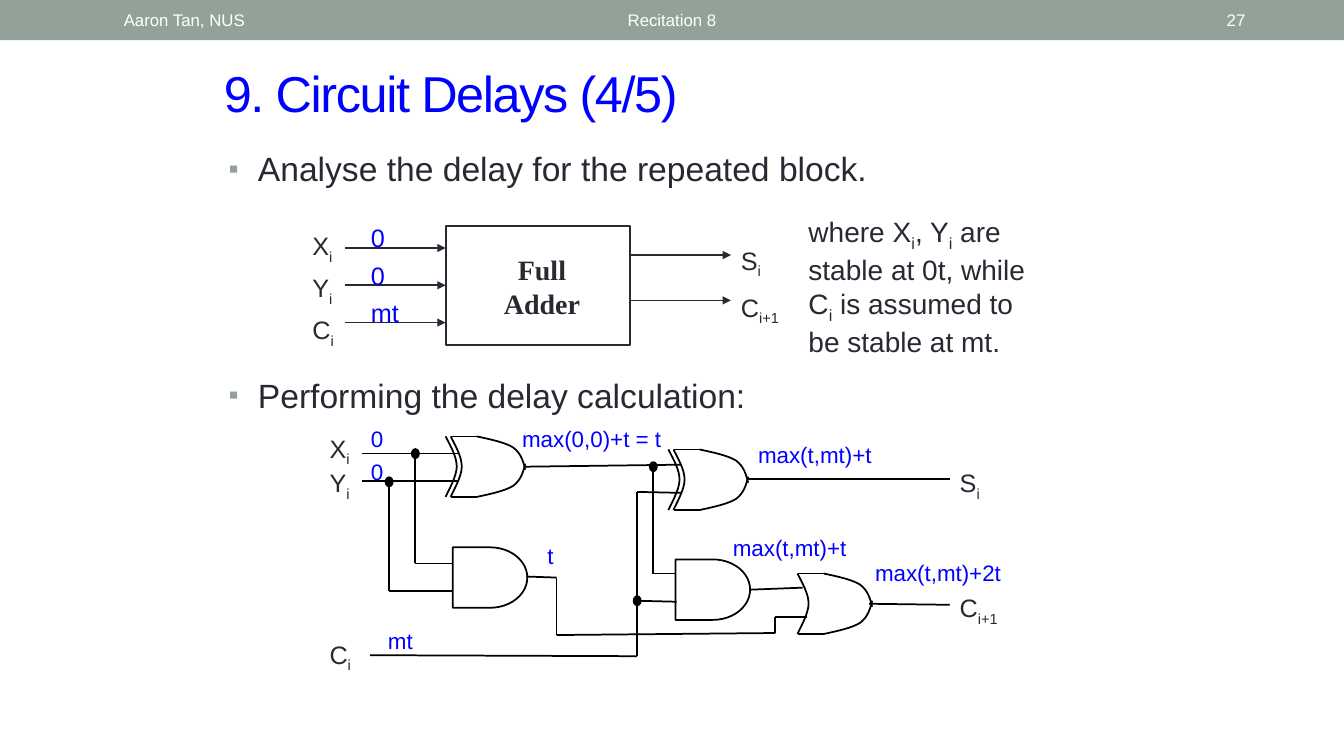
from lxml import etree
from pptx import Presentation
from pptx.dml.color import RGBColor
from pptx.enum.shapes import MSO_CONNECTOR, MSO_SHAPE
from pptx.enum.text import MSO_ANCHOR, MSO_AUTO_SIZE, PP_ALIGN
from pptx.oxml.ns import qn
from pptx.util import Inches, Pt

STRAIGHT = MSO_CONNECTOR.STRAIGHT
LEFT, CENTER, RIGHT = PP_ALIGN.LEFT, PP_ALIGN.CENTER, PP_ALIGN.RIGHT
TOP, MIDDLE = MSO_ANCHOR.TOP, MSO_ANCHOR.MIDDLE
NO_AUTOFIT = MSO_AUTO_SIZE.NONE
LEFT_SIDE = 1
COLORS = {"band": "93A299", "title": "0000FF", "delay": "0000FF",
          "text": "292934", "wire": "000000", "header": "FFFFFF"}

# In all texts, ~...~ marks a subscript.
TITLE = "9. Circuit Delays (4/5)"
HEADERS = [("Recitation 8", 3.02, 7.29, CENTER),
           ("Aaron Tan, NUS", 1.13, 3.17, LEFT),
           ("27", 11.5, 0.95, RIGHT)]
BULLETS = [("Analyse the delay for the repeated block.", 1.42),
           ("Performing the delay calculation:", 3.67)]
NOTE = "where X~i~, Y~i~ are stable at 0t, while C~i~ is assumed to be stable at mt."

# Block diagram
BLOCK = (4.42, 2.24, 1.83, 1.18)
BLOCK_NAME = ["Full", "Adder"]
INPUTS = ["X~i~", "Y~i~", "C~i~"]
OUTPUTS = ["S~i~", "C~i+1~"]
INPUT_DELAYS = [("0", 0.33), ("0", 0.33), ("mt", 0.5)]
INPUT_Y, INPUT_PITCH = 2.46, 0.37
OUTPUT_YS = [2.53, 2.98]
ARROW_LENGTH = 1

# Gate circuit
GATE_WIDTH, GATE_HEIGHT = 0.74, 0.6
AND_GATES = [(4.49, 5.43), (6.7, 5.55)]
XOR_GATES = [(4.47, 4.33), (6.68, 4.46)]
OR_GATES = [(7.91, 5.69)]
XOR_GAP = 0.05
NOSE_START = 0.26
BACK_CURVE = [(0, 0), (0.05, 0.1), (0.11, 0.2), (0.11, 0.3),
              (0.11, 0.4), (0.02, 0.55), (0, 0.6)]
NOSE_CURVE = [(NOSE_START, 0), (0.4, 0.03), (0.54, 0.06), (0.62, 0.11),
              (0.7, 0.17), (0.72, 0.25), (0.74, 0.33)]
WIRES = [
    [(3.59, 4.5), (4.55, 4.5)],
    [(3.59, 4.77), (4.55, 4.77)],
    [(4.12, 4.5), (4.12, 5.59), (4.49, 5.59)],
    [(3.86, 4.77), (3.86, 5.86), (4.49, 5.86)],
    [(5.21, 4.63), (6.76, 4.61)],
    [(6.48, 4.6), (6.48, 5.69), (6.69, 5.69)],
    [(3.67, 6.5), (6.32, 6.51), (6.32, 4.88), (6.76, 4.89)],
    [(6.32, 5.96), (6.71, 5.97)],
    [(5.22, 5.72), (5.52, 5.73), (5.52, 6.3), (7.69, 6.28), (7.69, 6.12), (8, 6.12)],
    [(7.44, 5.85), (7.96, 5.83)],
    [(7.42, 4.75), (9.42, 4.75)],
    [(8.62, 5.99), (9.42, 6)],
]
JUNCTIONS = [(3.86, 4.78), (4.12, 4.5), (6.32, 5.96), (6.48, 4.63)]
JUNCTION_SIZE = (0.07, 0.09)
SIGNALS = [(["X~i~", "Y~i~"], (3.17, 4.25, 0.42, 0.6)),
           (["C~i~"], (3.17, 6.29, 0.53, 0.38)),
           (["S~i~"], (9.42, 4.59, 0.58, 0.38)),
           (["C~i+1~"], (9.42, 5.83, 0.83, 0.38))]
DELAYS = [("0", 3.58, 4.17, 0.33), ("0", 3.58, 4.5, 0.33), ("mt", 3.75, 6.17, 0.5),
          ("max(0,0)+t = t", 5.08, 4.17, 1.65), ("t", 5.33, 5.33, 0.26),
          ("max(t,mt)+t", 7.42, 4.33, 1.58), ("max(t,mt)+t", 7.17, 5.25, 1.58),
          ("max(t,mt)+2t", 8.58, 5.5, 1.75)]


def color(name):
    return RGBColor.from_string(COLORS[name])


def inches(values):
    return [Inches(value) for value in values]


def style_outline(shape, line_color, width, fill_color=None):
    shape.shadow.inherit = False
    if fill_color:
        shape.fill.solid()
        shape.fill.fore_color.rgb = color(fill_color)
    else:
        shape.fill.background()
    shape.line.color.rgb = color(line_color)
    shape.line.width = Pt(width)


def add_bullet(paragraph):
    properties = paragraph._p.get_or_add_pPr()
    properties.set("marL", str(Inches(0.29)))
    properties.set("indent", str(-Inches(0.29)))
    bullet_color = etree.SubElement(properties, qn("a:buClr"))
    etree.SubElement(bullet_color, qn("a:srgbClr"), val=COLORS["band"])
    etree.SubElement(properties, qn("a:buSzPct"), val="85000")
    etree.SubElement(properties, qn("a:buFont"), typeface="Arial")
    etree.SubElement(properties, qn("a:buChar"), char="▪")


def add_text(slide, lines, box, size, color_name="text", align=LEFT, anchor=TOP,
             gap=0, font="Arial", bold=False, bullet=False):
    frame = slide.shapes.add_textbox(*inches(box)).text_frame
    frame.word_wrap = True
    frame.vertical_anchor = anchor
    for index, line in enumerate(lines):
        paragraph = frame.add_paragraph() if index else frame.paragraphs[0]
        paragraph.alignment = align
        if index and gap:
            paragraph.space_before = Pt(gap)
        if bullet:
            add_bullet(paragraph)
        paragraph.font.name = font
        paragraph.font.size = Pt(size)
        paragraph.font.bold = bold
        paragraph.font.color.rgb = color(color_name)
        for part, text in enumerate(line.split("~")):
            if text:
                run = paragraph.add_run()
                run.text = text
                if part % 2:
                    run._r.get_or_add_rPr().set("baseline", "-25000")


def add_line(slide, start, end, color_name="wire", arrow=False):
    line = slide.shapes.add_connector(STRAIGHT, *inches(start + end))
    line.line.color.rgb = color(color_name)
    line.line.width = Pt(1.25)
    if arrow:
        etree.SubElement(line.line._get_or_add_ln(), qn("a:tailEnd"), type="triangle")
    etree.SubElement(line._element.spPr, qn("a:effectLst"))
    return line


def add_curve(slide, controls, left, top):
    """Draw a chain of cubic Bezier arcs, offset by left and top."""
    points = [inches((left + x, top + y)) for x, y in controls]
    builder = slide.shapes.build_freeform(*points[0])
    builder.add_line_segments(points[1:], close=False)
    curve = builder.convert_to_shape()
    segments = list(curve._element.iter(qn("a:lnTo")))
    for first in range(0, len(segments), 3):
        arc = etree.SubElement(segments[first].getparent(), qn("a:cubicBezTo"))
        for segment in segments[first:first + 3]:
            arc.append(segment[0])
            segment.getparent().remove(segment)
    style_outline(curve, "wire", 1.25)


def add_or_gate(slide, left, top, exclusive=False):
    add_curve(slide, BACK_CURVE, left, top)
    if exclusive:
        add_curve(slide, BACK_CURVE, left - XOR_GAP, top)
    for y in (top, top + GATE_HEIGHT):
        add_line(slide, (left, y), (left + NOSE_START, y))
    add_curve(slide, NOSE_CURVE, left, top)
    add_curve(slide, [(x, GATE_HEIGHT - y) for x, y in NOSE_CURVE], left, top)


def add_heading(slide):
    band = slide.shapes.add_shape(MSO_SHAPE.RECTANGLE, *inches((0, 0, 13.33, 0.4)))
    style_outline(band, "band", 0, "band")
    band.line.fill.background()
    for text, left, width, align in HEADERS:
        add_text(slide, [text], (left, 0.02, width, 0.36), 12, "header", align, MIDDLE)
    title = slide.shapes.title
    title.left, title.top, title.width, title.height = inches((2.12, 0.57, 9.21, 0.7))
    frame = title.text_frame
    frame.text = TITLE
    frame.auto_size = NO_AUTOFIT
    frame.vertical_anchor = MIDDLE
    paragraph = frame.paragraphs[0]
    paragraph.alignment = LEFT
    paragraph.font.name = "Arial"
    paragraph.font.size = Pt(36)
    paragraph.font.color.rgb = color("title")
    paragraph.runs[0]._r.get_or_add_rPr().set("spc", "-100")


def add_block_diagram(slide):
    left, top, width, height = BLOCK
    block = slide.shapes.add_shape(MSO_SHAPE.RECTANGLE, *inches(BLOCK))
    style_outline(block, "text", 1.5)
    add_text(slide, BLOCK_NAME, (4.75, 2.46, 1.25, 0.77), 20, align=CENTER,
             font="Times New Roman", bold=True)
    for index, (delay, delay_width) in enumerate(INPUT_DELAYS):
        y = INPUT_Y + index * INPUT_PITCH
        arrow = add_line(slide, (left - ARROW_LENGTH, y), (left, y), "text", arrow=True)
        if index == len(INPUT_DELAYS) // 2:
            arrow.end_connect(block, LEFT_SIDE)
        add_text(slide, [delay], (3.58, y - 0.3, delay_width, 0.4), 18, "delay")
    for y in OUTPUT_YS:
        add_line(slide, (left + width, y), (left + width + ARROW_LENGTH, y), "text", arrow=True)
    add_text(slide, INPUTS, (3, 2.24, 0.5, 1.18), 18, gap=5.4)
    add_text(slide, OUTPUTS, (7.25, 2.38, 0.67, 0.85), 18, gap=9)
    add_text(slide, [NOTE], (7.92, 2.08, 2.58, 1.58), 20)


def add_gate_circuit(slide):
    for left, top in AND_GATES:
        gate = slide.shapes.add_shape(MSO_SHAPE.FLOWCHART_DELAY,
                                      *inches((left, top, GATE_WIDTH, GATE_HEIGHT)))
        style_outline(gate, "wire", 1.25)
    for left, top in XOR_GATES:
        add_or_gate(slide, left, top, exclusive=True)
    for left, top in OR_GATES:
        add_or_gate(slide, left, top)
    for wire in WIRES:
        for start, end in zip(wire, wire[1:]):
            add_line(slide, start, end)
    width, height = JUNCTION_SIZE
    for x, y in JUNCTIONS:
        dot = slide.shapes.add_shape(MSO_SHAPE.OVAL, *inches((x - width / 2, y - height / 2,
                                                             width, height)))
        style_outline(dot, "wire", 1.25, "wire")
    for lines, box in SIGNALS:
        add_text(slide, lines, box, 18)
    for text, left, top, width in DELAYS:
        add_text(slide, [text], (left, top, width, 0.38), 16, "delay")


def main():
    presentation = Presentation()
    presentation.slide_width, presentation.slide_height = inches((13.33, 7.5))
    slide = presentation.slides.add_slide(presentation.slide_layouts[5])
    add_heading(slide)
    for text, top in BULLETS:
        add_text(slide, [text], (2.17, top, 9, 0.67), 24, bullet=True)
    add_block_diagram(slide)
    add_gate_circuit(slide)
    presentation.save("out.pptx")


if __name__ == "__main__":
    main()
